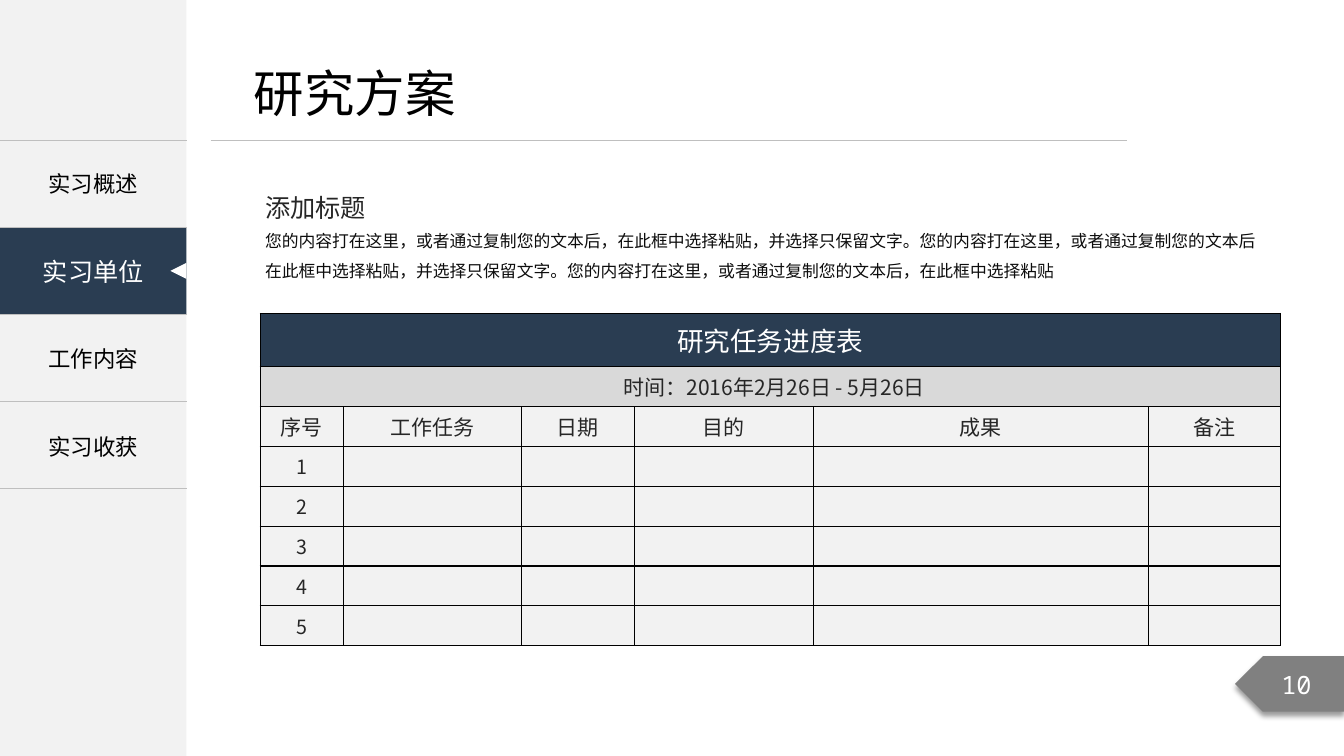
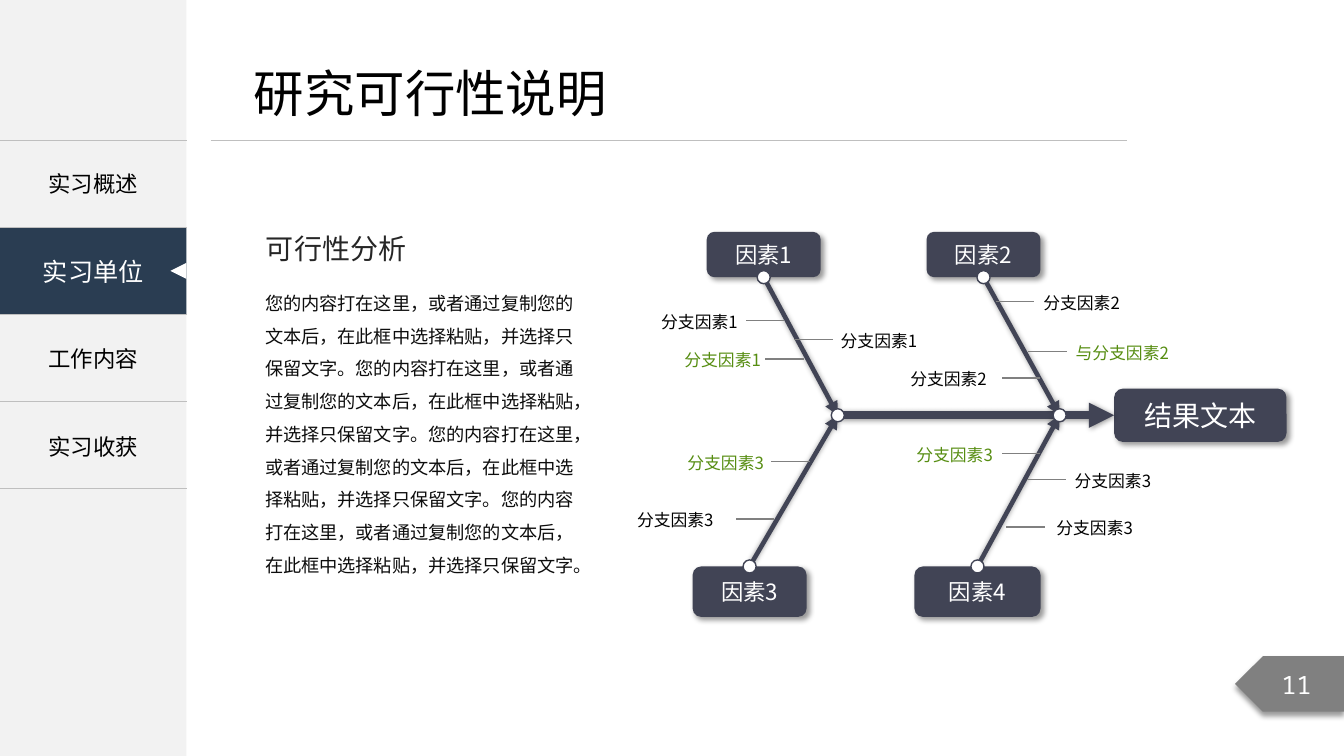
import dataclasses

import lxml.etree
import pptx
import pptx.dml.color
import pptx.enum.shapes
import pptx.enum.text
import pptx.oxml.ns
import pptx.util

Inches = pptx.util.Inches
SHAPES = pptx.enum.shapes.MSO_SHAPE
ALIGN = pptx.enum.text.PP_ALIGN
MIDDLE = pptx.enum.text.MSO_ANCHOR.MIDDLE
TOP, LEFT, BOTTOM = 0, 1, 2


@dataclasses.dataclass(frozen=True)
class Theme:
    font: str = "Noto Sans CJK SC"
    number_font: str = "Noto Sans Mono"
    white: str = "FFFFFF"
    black: str = "000000"
    navy: str = "2A3D52"
    slate: str = "414455"
    green: str = "568D11"
    panel: str = "F2F2F2"
    band: str = "D9D9D9"
    rule: str = "BFBFBF"
    gray: str = "808080"
    heading: str = "262626"
    body: str = "0D0D0D"
    title_size: int = 36
    large_size: int = 20
    table_title_size: int = 19
    subtitle_size: int = 18
    menu_size: int = 16
    table_size: int = 15
    index_size: int = 14
    text_size: int = 13
    small_size: int = 12


THEME = Theme()
MENU = ["实习概述", "实习单位", "工作内容", "实习收获"]
SENTENCE = "您的内容打在这里，或者通过复制您的文本后，在此框中选择粘贴，并选择只保留文字。"


def rgb(color):
    return pptx.dml.color.RGBColor.from_string(color)


def add_element(parent, tag, **attributes):
    element = lxml.etree.SubElement(parent, pptx.oxml.ns.qn(tag))
    for name, value in attributes.items():
        element.set(name, str(value))
    return element


def write(frame, text, size, color, align=ALIGN.LEFT, spacing=None, font=THEME.font):
    frame.text = text
    paragraph = frame.paragraphs[0]
    paragraph.alignment = align
    if spacing:
        paragraph.line_spacing = spacing
    paragraph.font.size = pptx.util.Pt(size)
    paragraph.font.color.rgb = rgb(color)
    paragraph.font.name = font
    properties = paragraph._p.pPr.find(pptx.oxml.ns.qn("a:defRPr"))
    add_element(properties, "a:ea", typeface=font)


def add_text(slide, box, text, size, color, spacing=None, wrap=True, align=ALIGN.LEFT):
    frame = slide.shapes.add_textbox(*map(Inches, box)).text_frame
    frame.word_wrap = wrap
    write(frame, text, size, color, align, spacing)
    return frame


def add_shadow(effects, distance, direction):
    """Fill an effect list with a soft black shadow; distance in points."""
    shadow = add_element(effects, "a:outerShdw", blurRad=pptx.util.Pt(4),
                         dist=pptx.util.Pt(distance), dir=direction * 60000,
                         algn="ctr", rotWithShape=0)
    color = add_element(shadow, "a:srgbClr", val=THEME.black)
    add_element(color, "a:alpha", val=40000)


def add_shape(slide, kind, box, fill, line=None, shadow_direction=None):
    shape = slide.shapes.add_shape(kind, *map(Inches, box))
    shape.shadow.inherit = False
    shape.fill.solid()
    shape.fill.fore_color.rgb = rgb(fill)
    if line:
        shape.line.color.rgb = rgb(line)
        shape.line.width = pptx.util.Pt(1)
    else:
        shape.line.fill.background()
    if shadow_direction is not None:
        effects = shape._element.spPr.find(pptx.oxml.ns.qn("a:effectLst"))
        add_shadow(effects, 3, shadow_direction)
    return shape


def add_line(slide, start, end, color, width, arrow=False, shadow_distance=None):
    line = slide.shapes.add_connector(
        pptx.enum.shapes.MSO_CONNECTOR.STRAIGHT, *map(Inches, (*start, *end)))
    line.line.color.rgb = rgb(color)
    line.line.width = pptx.util.Pt(width)
    if arrow:
        add_element(line.line._get_or_add_ln(), "a:tailEnd", type="triangle")
    effects = add_element(line._element.spPr, "a:effectLst")
    if shadow_distance is not None:
        add_shadow(effects, shadow_distance, 45)
    return line


def add_table(slide, left, top, columns, rows):
    frame = slide.shapes.add_table(len(rows), len(columns), Inches(left), Inches(top),
                                   Inches(sum(columns)), Inches(sum(rows)))
    table = frame.table
    table.first_row = table.horz_banding = False
    for column, width in zip(table.columns, columns):
        column.width = Inches(width)
    for row, height in zip(table.rows, rows):
        row.height = Inches(height)
    return table


def style_cell(cell, fill, border, sides):
    """Border the named sides (of L, R, T, B), leave the others bare, then fill."""
    properties = cell._tc.get_or_add_tcPr()
    for side in "LRTB":
        line = add_element(properties, "a:ln" + side, w=pptx.util.Pt(1))
        if side in sides:
            add_element(add_element(line, "a:solidFill"), "a:srgbClr", val=border)
        else:
            add_element(line, "a:noFill")
    if fill:
        cell.fill.solid()
        cell.fill.fore_color.rgb = rgb(fill)
    else:
        cell.fill.background()
    cell.vertical_anchor = MIDDLE


def add_menu(slide, top, width, row_height):
    """Draw the sidebar: a first entry, the highlighted second one, then the rest."""
    first, active, *others = MENU
    add_shape(slide, SHAPES.RECTANGLE, (0, 0, width, 7.5), THEME.panel)
    frame = add_text(slide, (0, top, width, row_height), first, THEME.menu_size,
                     THEME.black, align=ALIGN.CENTER)
    frame.vertical_anchor = MIDDLE
    active_top = top + row_height
    highlight = add_shape(slide, SHAPES.RECTANGLE, (0, active_top, width, row_height), THEME.navy)
    highlight.text_frame.vertical_anchor = MIDDLE
    write(highlight.text_frame, active, THEME.subtitle_size, THEME.white, ALIGN.CENTER)
    size = 0.16
    marker = add_shape(slide, SHAPES.ISOSCELES_TRIANGLE,
                       (width - size, active_top + (row_height - size) / 2, size, size),
                       THEME.white)
    marker.rotation = 270
    table = add_table(slide, 0, top, [width], [row_height] * len(MENU))
    for row in range(len(MENU)):
        style_cell(table.cell(row, 0), None, THEME.rule, "TB")
    for row, label in enumerate(others, start=2):
        write(table.cell(row, 0).text_frame, label, THEME.menu_size, THEME.black, ALIGN.CENTER)


def add_page_number(slide, box, number):
    tag = add_shape(slide, SHAPES.PENTAGON, box, THEME.gray, shadow_direction=90)
    tag._element.spPr.xfrm.set("flipH", "1")
    tag.text_frame.vertical_anchor = MIDDLE
    write(tag.text_frame, str(number), THEME.subtitle_size, THEME.white,
          ALIGN.CENTER, font=THEME.number_font)


def add_base_slide(presentation, title, number):
    slide = presentation.slides.add_slide(presentation.slide_layouts[6])
    add_menu(slide, 1.39, 1.85, 0.865)
    add_line(slide, (2.09, 1.39), (11.18, 1.39), THEME.rule, 0.5)
    add_page_number(slide, (12.25, 6.51, 1.08, 0.55), number)
    add_text(slide, (2.42, 0.57, len(title) * 0.5 + 0.22, 0.71), title,
             THEME.title_size, THEME.black, wrap=False)
    return slide


def add_schedule(slide, left, top):
    columns = [0.83, 1.76, 1.12, 1.78, 3.32, 1.31]
    headers = ["序号", "工作任务", "日期", "目的", "成果", "备注"]
    banners = [("研究任务进度表", THEME.table_title_size, THEME.white, THEME.navy),
               ("时间：2016年2月26日 - 5月26日", THEME.table_size, THEME.heading, THEME.band)]
    task_count = 5
    rows = [0.53] + [0.395] * (task_count + 2)
    table = add_table(slide, left, top, columns, rows)
    for row in range(len(rows)):
        fill = banners[row][3] if row < len(banners) else THEME.panel
        for column in range(len(columns)):
            cell = table.cell(row, column)
            style_cell(cell, fill, THEME.black, "LRTB")
            cell.margin_left = cell.margin_right = Inches(0.01)
            cell.margin_top = cell.margin_bottom = 0
    for row, (text, size, color, _) in enumerate(banners):
        table.cell(row, 0).merge(table.cell(row, len(columns) - 1))
        write(table.cell(row, 0).text_frame, text, size, color, ALIGN.CENTER)
    table.cell(1, 0).margin_left = Inches(0.09)
    for column, text in enumerate(headers):
        write(table.cell(2, column).text_frame, text, THEME.table_size,
              THEME.heading, ALIGN.CENTER)
    for task in range(1, task_count + 1):
        write(table.cell(task + 2, 0).text_frame, str(task), THEME.index_size,
              THEME.heading, ALIGN.CENTER)


def add_node(slide, box, text, size):
    node = add_shape(slide, SHAPES.ROUNDED_RECTANGLE, box, THEME.slate, shadow_direction=45)
    node.text_frame.vertical_anchor = MIDDLE
    write(node.text_frame, text, size, THEME.white, ALIGN.CENTER)
    return node


def add_dot(slide, x, y):
    size = 0.13
    add_shape(slide, SHAPES.OVAL, (x - size / 2, y - size / 2, size, size),
              THEME.white, line=THEME.slate)


def add_branch(slide, text, color, tick_left, y, label_left):
    add_line(slide, (tick_left, y), (tick_left + 0.38, y), THEME.gray, 1)
    add_text(slide, (label_left, y - 0.14, 1.2, 0.32), text, THEME.small_size, color)


def add_fishbone(slide, left, top):
    """Draw the cause diagram; all positions inside are relative to its corner."""
    spine_y = top + 1.82
    joints = [left + 2.09, left + 4.29]
    result = add_node(slide, (left + 4.83, spine_y - 0.265, 1.71, 0.53),
                      "结果文本", THEME.large_size)
    spine = add_line(slide, (joints[0], spine_y), (left + 4.83, spine_y),
                     THEME.slate, 6, arrow=True, shadow_distance=1)
    spine.end_connect(result, LEFT)

    factors = [("因素1", (0.79, 0, 1.13, 0.45), BOTTOM, joints[0]),
               ("因素2", (2.97, 0, 1.13, 0.45), BOTTOM, joints[1]),
               ("因素3", (0.65, 3.32, 1.13, 0.5), TOP, joints[0]),
               ("因素4", (2.85, 3.32, 1.25, 0.5), TOP, joints[1])]
    dots = [(joint, spine_y) for joint in joints]
    for text, (x, y, width, height), site, joint in factors:
        node = add_node(slide, (left + x, top + y, width, height), text, THEME.menu_size)
        start = (left + x + width / 2, top + y + (height if site == BOTTOM else 0))
        rib = add_line(slide, start, (joint, spine_y), THEME.slate, 3.25,
                       arrow=True, shadow_distance=0)
        rib.begin_connect(node, site)
        dots.append(start)

    branches = [("分支因素1", THEME.black, 1.18, 0.88, 0.24),
                ("分支因素1", THEME.green, 1.37, 1.26, 0.47),
                ("分支因素1", THEME.black, 1.66, 1.07, 2.02),
                ("分支因素2", THEME.black, 3.66, 0.69, 4.03),
                ("与分支因素2", THEME.green, 3.98, 1.19, 4.35),
                ("分支因素2", THEME.black, 3.72, 1.45, 2.71),
                ("分支因素3", THEME.green, 1.43, 2.28, 0.5),
                ("分支因素3", THEME.black, 1.08, 2.85, 0),
                ("分支因素3", THEME.green, 3.72, 2.2, 2.77),
                ("分支因素3", THEME.black, 3.97, 2.46, 4.34),
                ("分支因素3", THEME.black, 3.76, 2.93, 4.16)]
    for text, color, tick, y, label in branches:
        add_branch(slide, text, color, left + tick, top + y, left + label)
    for x, y in dots:
        add_dot(slide, x, y)


def add_plan_slide(presentation):
    slide = add_base_slide(presentation, "研究方案", 10)
    add_text(slide, (2.53, 1.71, 1.21, 0.56), "添加标题", THEME.subtitle_size,
             THEME.heading, spacing=1.5, wrap=False)
    body = (SENTENCE + "您的内容打在这里，或者通过复制您的文本后在此框中选择粘贴，并选择只保留文字。"
            "您的内容打在这里，或者通过复制您的文本后，在此框中选择粘贴")
    add_text(slide, (2.53, 2.14, 10.05, 0.71), body, THEME.small_size, THEME.body, spacing=1.5)
    add_schedule(slide, 2.58, 3.11)


def add_feasibility_slide(presentation):
    slide = add_base_slide(presentation, "研究可行性说明", 11)
    add_text(slide, (2.54, 2.25, 1.6, 0.44), "可行性分析", THEME.large_size,
             THEME.heading, wrap=False)
    add_text(slide, (2.53, 2.74, 3.39, 3.38), SENTENCE * 4, THEME.text_size,
             THEME.body, spacing=1.5)
    add_fishbone(slide, 6.22, 2.3)


def main():
    presentation = pptx.Presentation()
    presentation.slide_width = Inches(13.33)
    presentation.slide_height = Inches(7.5)
    add_plan_slide(presentation)
    add_feasibility_slide(presentation)
    presentation.save("out.pptx")


if __name__ == "__main__":
    main()
